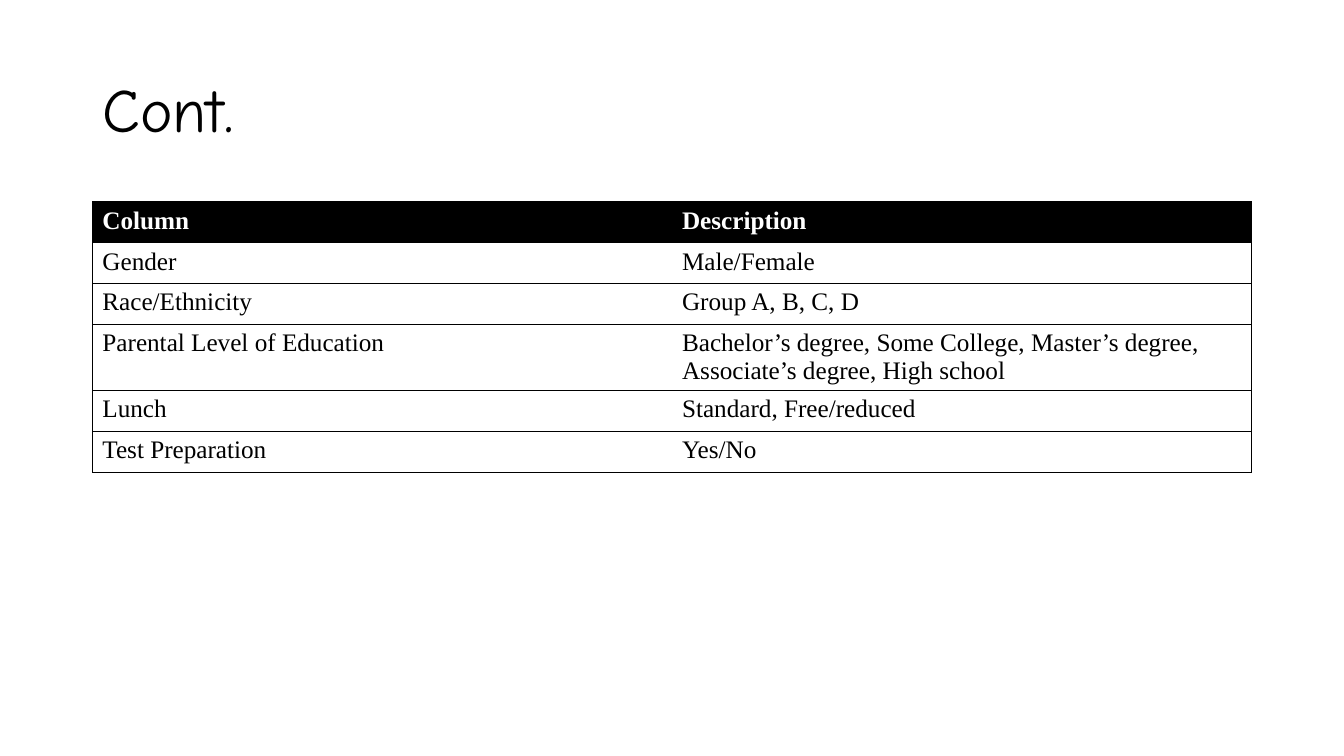
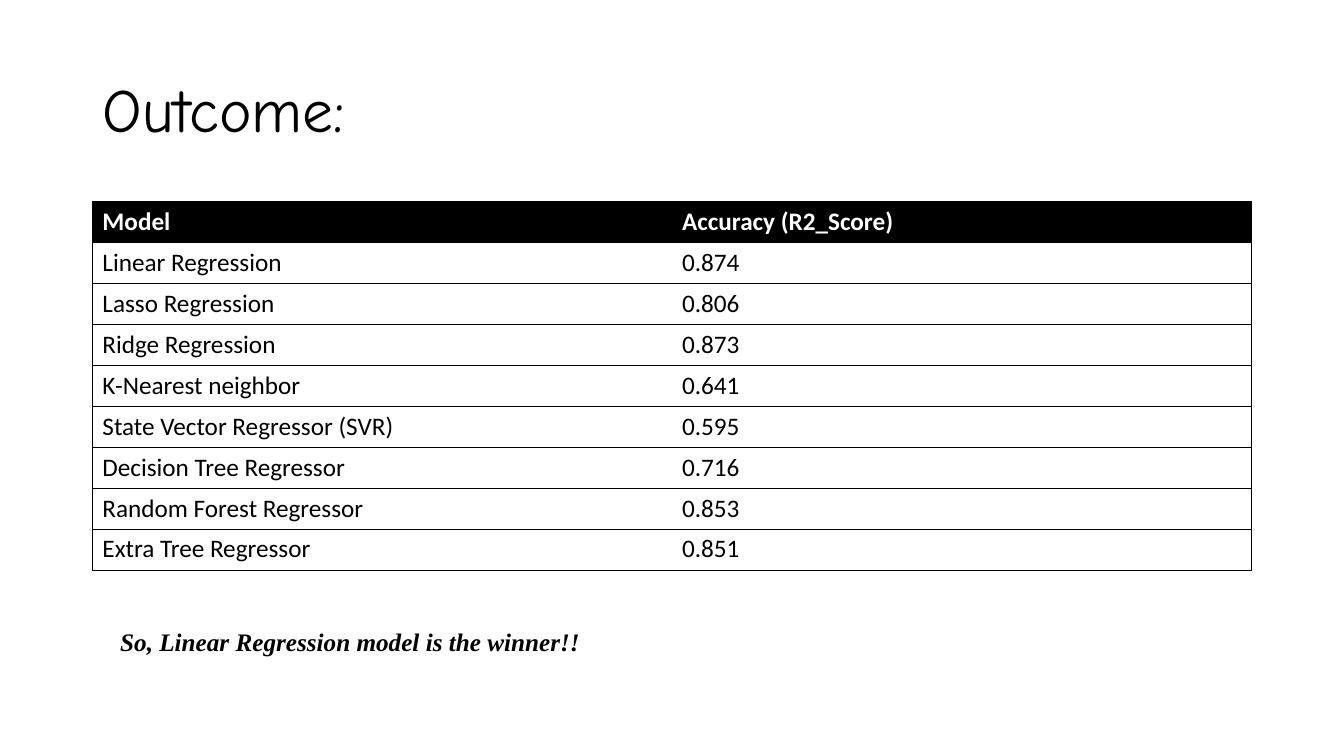
from lxml.etree import SubElement
from pptx import Presentation
from pptx.dml.color import RGBColor
from pptx.enum.text import MSO_ANCHOR as Anchor, MSO_AUTO_SIZE as AutoSize, PP_ALIGN as Align
from pptx.oxml.ns import qn
from pptx.util import Pt

# Shared style
PX = 9525  # EMU per px, 96 px to the inch
COLORS = {"ink": "000000", "paper": "FFFFFF"}
TITLE_FONT, SERIF, SANS = "Comic Neue", "Times New Roman", "Calibri"
LEFT, WIDTH = 88, 1104
TABLE_TOP, ROW_HEIGHT = 192, 39
BORDER_WIDTH = Pt(0.5)

# Content
COLUMN_ROWS = [
    ("Column", "Description"),
    ("Gender", "Male/Female"),
    ("Race/Ethnicity", "Group A, B, C, D"),
    ("Parental Level of Education",
     "Bachelor’s degree, Some College, Master’s degree, Associate’s degree, High school"),
    ("Lunch", "Standard, Free/reduced"),
    ("Test Preparation", "Yes/No"),
]
SCORE_ROWS = [
    ("Model", "Accuracy (R2_Score)"),
    ("Linear Regression", "0.874"),
    ("Lasso Regression", "0.806"),
    ("Ridge Regression", "0.873"),
    ("K-Nearest neighbor", "0.641"),
    ("State Vector Regressor (SVR)", "0.595"),
    ("Decision Tree Regressor", "0.716"),
    ("Random Forest Regressor", "0.853"),
    ("Extra Tree Regressor", "0.851"),
]


def px(*lengths):
    return [length * PX for length in lengths]


def color(name):
    return RGBColor.from_string(COLORS[name])


def add_span(para, text, font, size, ink="ink", bold=False, italic=False):
    span = para.add_run()
    span.text = text
    span.font.name, span.font.size = font, Pt(size)
    span.font.bold, span.font.italic = bold, italic
    span.font.color.rgb = color(ink)


def add_page(deck, title):
    """Add a page with the shared title style."""
    page = deck.slides.add_slide(deck.slide_layouts[5])
    box = page.shapes.title
    box.left, box.top, box.width, box.height = px(LEFT, 38, WIDTH, 139)
    frame = box.text_frame
    frame.auto_size = AutoSize.NONE
    frame.vertical_anchor = Anchor.MIDDLE
    para = frame.paragraphs[0]
    para.alignment, para.line_spacing = Align.LEFT, 0.9
    add_span(para, title, TITLE_FONT, 44)
    return page


def set_borders(cell, visible):
    """Draw the visible sides (L, R, T, B) and hide the others."""
    properties = cell._tc.get_or_add_tcPr()
    for side in "LRTB":
        line = SubElement(properties, qn(f"a:ln{side}"), w=str(BORDER_WIDTH))
        if side in visible:
            fill = SubElement(line, qn("a:solidFill"))
            SubElement(fill, qn("a:srgbClr"), val=COLORS["ink"])
        else:
            SubElement(line, qn("a:noFill"))


def add_ruled_table(page, rows, font):
    """Black header, horizontal rules and an outer frame."""
    count = len(rows[0])
    table = page.shapes.add_table(
        len(rows), count, *px(LEFT, TABLE_TOP, WIDTH, ROW_HEIGHT * len(rows))).table
    table.horz_banding = False
    for row_index, texts in enumerate(rows):
        header = row_index == 0
        for column_index, text in enumerate(texts):
            cell = table.cell(row_index, column_index)
            outer = ("L" if column_index == 0 else "") + ("R" if column_index == count - 1 else "")
            set_borders(cell, "TB" + outer)
            cell.fill.solid()
            cell.fill.fore_color.rgb = color("ink" if header else "paper")
            add_span(cell.text_frame.paragraphs[0], text, font, 18,
                     "paper" if header else "ink", bold=header)


def add_note(page, text):
    box = page.shapes.add_textbox(*px(105, 592, 470, 39))
    box.text_frame.word_wrap = False
    add_span(box.text_frame.paragraphs[0], text, SERIF, 18, bold=True, italic=True)


def main():
    deck = Presentation()
    deck.slide_width, deck.slide_height = px(1280, 720)

    # Data columns
    page = add_page(deck, "Cont.")
    add_ruled_table(page, COLUMN_ROWS, SERIF)

    # Model scores
    page = add_page(deck, "Outcome:")
    add_ruled_table(page, SCORE_ROWS, SANS)
    add_note(page, "So, Linear Regression model is the winner!!")

    deck.save("out.pptx")


if __name__ == "__main__":
    main()
